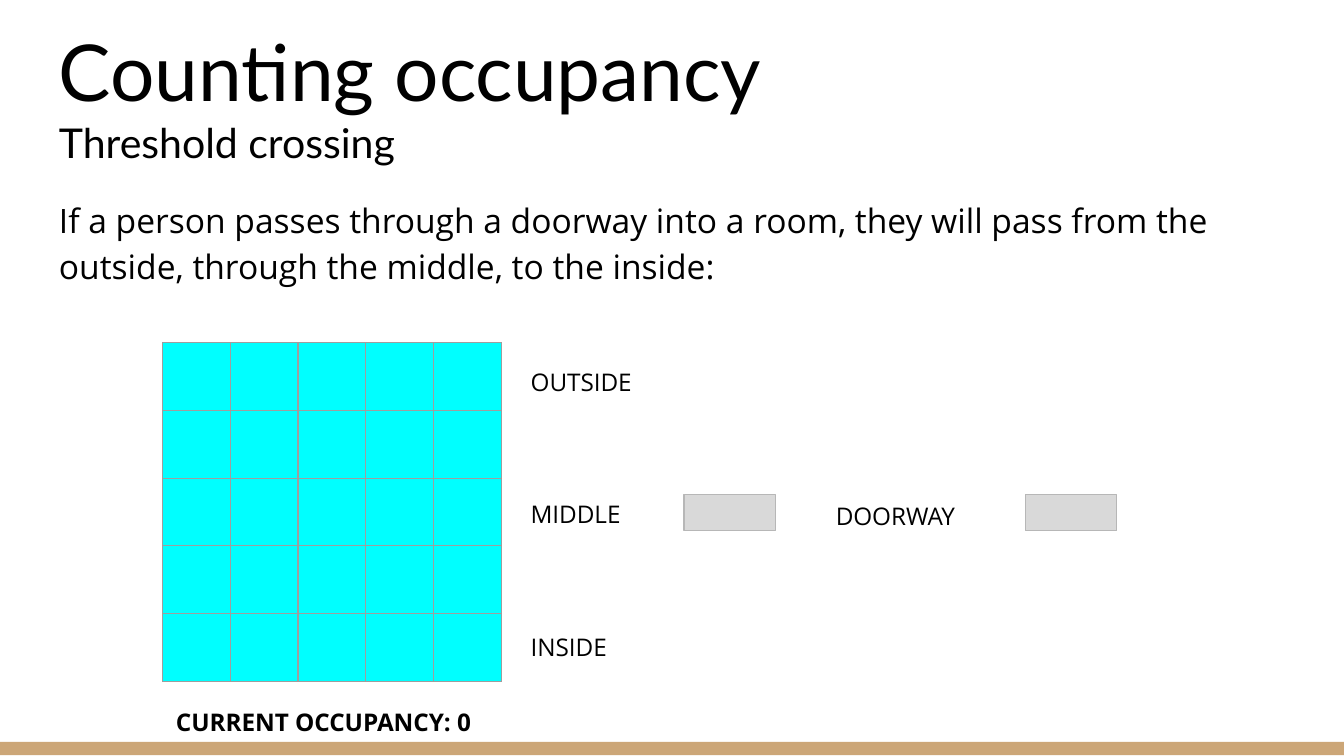
from typing import NamedTuple

from lxml import etree
from pptx import Presentation
from pptx.dml.color import RGBColor
from pptx.enum.shapes import MSO_SHAPE
from pptx.enum.text import MSO_ANCHOR
from pptx.oxml.ns import qn
from pptx.util import Inches, Pt

RECT = MSO_SHAPE.RECTANGLE
TOP, BOTTOM = MSO_ANCHOR.TOP, MSO_ANCHOR.BOTTOM
COLORS = {
    "text": "000000",
    "bar": "CCA677",
    "cell": "00FFFF",
    "grid": "9E9E9E",
    "wall": "D9D9D9",
    "edge": "B7B7B7",
}
WIDTH = Inches(10)
HEIGHT = WIDTH * 9 // 16
COUNT = 5
GRID = 2.52


class Box(NamedTuple):
    left: float
    top: float
    width: float
    height: float


class Line(NamedTuple):
    text: str
    size: float
    font: str = "Open Sans"
    bold: bool = False
    spacing: float = 1.15
    after: float = 16


class Label(NamedTuple):
    box: Box
    lines: list[Line]
    anchor: MSO_ANCHOR = TOP


def tag(left: float, top: float, text: str) -> Label:
    return Label(Box(left, top, 1.15, 0.42), [Line(text, 13)])


LABELS = [
    Label(
        Box(0.34, 0.43, 9.32, 0.91),
        [
            Line("Counting occupancy", 42, "Lato", spacing=1, after=0),
            Line("Threshold crossing", 22, "Lato", spacing=1, after=0),
        ],
        BOTTOM,
    ),
    Label(
        Box(0.34, 1.34, 9.32, 0.91),
        [Line("If a person passes through a doorway into a room, they will pass "
              "from the outside, through the middle, to the inside:", 18)],
    ),
    tag(3.85, 2.6, "OUTSIDE"),
    tag(3.85, 3.58, "MIDDLE"),
    tag(3.85, 4.57, "INSIDE"),
    tag(6.12, 3.6, "DOORWAY"),
    Label(Box(1.21, 5.13, GRID, 0.42), [Line("CURRENT OCCUPANCY: 0", 13, bold=True)]),
]
WALLS = [Box(left, 3.68, 0.68, 0.27) for left in (5.09, 7.63)]


def color(name: str) -> RGBColor:
    return RGBColor.from_string(COLORS[name])


def place(box: Box) -> list[int]:
    return [Inches(value) for value in box]


def add_rect(slide, box: Box, fill: str, edge: str | None = None) -> None:
    shape = slide.shapes.add_shape(RECT, *place(box))
    shape.shadow.inherit = False
    shape.fill.solid()
    shape.fill.fore_color.rgb = color(fill)
    if edge:
        shape.line.color.rgb = color(edge)
        shape.line.width = Pt(0.75)
    else:
        shape.line.fill.background()


def add_label(slide, label: Label) -> None:
    frame = slide.shapes.add_textbox(*place(label.box)).text_frame
    frame.word_wrap = True
    frame.vertical_anchor = label.anchor
    frame.margin_left = frame.margin_right = Inches(0.1)
    frame.margin_top = frame.margin_bottom = Inches(0.1)
    for index, line in enumerate(label.lines):
        para = frame.add_paragraph() if index else frame.paragraphs[0]
        para.text = line.text
        para.line_spacing = line.spacing
        para.space_after = Pt(line.after)
        para.font.name = line.font
        para.font.size = Pt(line.size)
        para.font.bold = line.bold
        para.font.color.rgb = color("text")


def add_border(cell) -> None:
    props = cell._tc.get_or_add_tcPr()
    for side in ("lnL", "lnR", "lnT", "lnB"):
        line = etree.SubElement(props, qn(f"a:{side}"), w=str(Pt(0.75)))
        fill = etree.SubElement(line, qn("a:solidFill"))
        etree.SubElement(fill, qn("a:srgbClr"), val=COLORS["grid"])


def add_grid(slide, box: Box) -> None:
    table = slide.shapes.add_table(COUNT, COUNT, *place(box)).table
    for col in table.columns:
        col.width = Inches(box.width / COUNT)
    for row in table.rows:
        row.height = Inches(box.height / COUNT)
    for cell in table.iter_cells():
        add_border(cell)
        cell.fill.solid()
        cell.fill.fore_color.rgb = color("cell")


def main() -> None:
    deck = Presentation()
    deck.slide_width, deck.slide_height = WIDTH, HEIGHT
    slide = deck.slides.add_slide(deck.slide_layouts[6])
    add_rect(slide, Box(0, 5.52, 10, 0.1), "bar")
    add_grid(slide, Box(1.21, 2.55, GRID, GRID))
    for wall in WALLS:
        add_rect(slide, wall, "wall", "edge")
    for label in LABELS:
        add_label(slide, label)
    deck.save("out.pptx")


if __name__ == "__main__":
    main()
